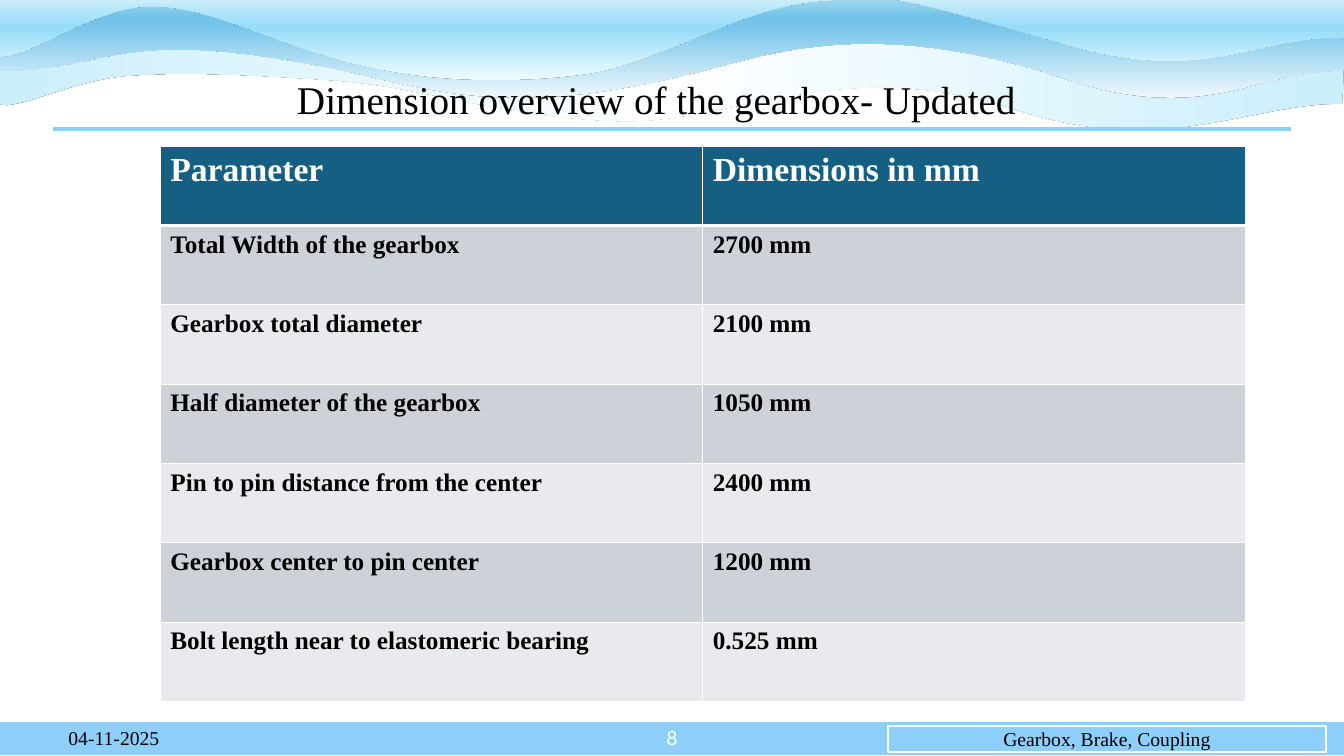
from pptx import Presentation, util as u
from pptx.dml.color import RGBColor
from pptx.enum import shapes, text
from pptx.oxml.ns import qn
from lxml import etree

THEME = {
    "sky": "8ECEFA", "white": "FFFFFF", "black": "000000", "head": "156082",
    "bands": ("CCD2D8", "E8EAED"), "serif": "Times New Roman", "sans": "Lato",
    "title": 28, "header": 24, "body": 18, "foot": 14,
}

TITLE = "Dimension overview of the gearbox- Updated"
DATE, PAGE, TOPIC = "04-11-2025", "8", "Gearbox, Brake, Coupling"
ROWS = [
    ("Parameter", "Dimensions in mm"),
    ("Total Width of the gearbox", "2700 mm"),
    ("Gearbox total diameter", "2100 mm"),
    ("Half diameter of the gearbox", "1050 mm"),
    ("Pin to pin distance from the center", "2400 mm"),
    ("Gearbox center to pin center", "1200 mm"),
    ("Bolt length near to elastomeric bearing", "0.525 mm"),
]

WAVES = [
    {"box": (-0.03, 0.3, 13.36, 0.98), "angle": 0,
     "stops": [(0, "CAEEFB"), (50, "FFFFFF"), (100, "CAEEFB")],
     "path": [(13.31, 1.03),
              (12.38, 1.02, 11.53, 1.59, 10, 1.06),
              (8.28, 0.54, 7.22, 1.24, 6.11, 1.2),
              (5, 1.16, 4.22, 0.87, 3.36, 0.8),
              (2.49, 0.74, 1.84, 0.71, 1.28, 0.75),
              (0.72, 0.79, 0.15, 1.11, -0.01, 1.03),
              (-0.01, 0.8, -0.03, 0.53, -0.03, 0.3),
              (3.14, 0.31), (6.53, 0.34), (9.42, 0.32), (13.33, 0.34),
              (13.33, 0.55, 13.33, 0.8, 13.31, 1.03)]},
    {"box": (0, -0.01, 13.33, 0.98), "angle": 90,
     "stops": [(0, "F0F8FD"), (74, "74C4E9"), (83, "74C4E9"), (100, "A2D8F0")],
     "path": [(13.32, 0.7),
              (12.39, 0.7, 11.96, 1.28, 10.44, 0.74),
              (8.71, 0.2, 7.73, 0.5, 7.06, 0.68),
              (5.28, 1.14, 4.59, 0.98, 3.46, 0.71),
              (1.13, 0.22, 1.15, 0.7, 0, 0.7),
              (0, 0.47, 0.01, 0.24, 0.01, 0),
              (3.13, 0.01), (6.54, -0.01), (9.46, 0), (13.33, 0.04),
              (13.33, 0.26, 13.34, 0.47, 13.32, 0.7)]},
    {"box": (-0.03, -0.26, 13.36, 1.06), "angle": 90,
     "stops": [(0, "EFFCFF"), (50, "96DCF8"), (100, "FFFFFF")],
     "path": [(13.32, 0.37),
              (12.39, 0.36, 11.96, 0.88, 10.44, 0.4),
              (8.72, -0.08, 8.91, -0.05, 8.13, 0.01),
              (7.35, 0.06, 6.53, 0.64, 5.76, 0.74),
              (4.98, 0.84, 4.24, 0.81, 3.47, 0.62),
              (2.58, 0.38, 2.07, 0.06, 1.5, 0.06),
              (0.92, 0.06, 0.22, 0.63, -0.03, 0.55),
              (-0.02, 0.34, 0.01, -0.04, 0.01, -0.25),
              (3.13, -0.24), (6.54, -0.26), (9.46, -0.25), (13.33, -0.22),
              (13.33, -0.03, 13.34, 0.16, 13.32, 0.37)]},
]


def rgb(code):
    return RGBColor.from_string(code)


def draw_path(shape, wave):
    left, top, width, height = wave["box"]
    path = shape._element.spPr.find(".//" + qn("a:path"))
    for old in list(path):
        path.remove(old)
    for i, part in enumerate(wave["path"]):
        kind = "moveTo" if i == 0 else "lnTo" if len(part) == 2 else "cubicBezTo"
        step = etree.SubElement(path, qn("a:" + kind))
        for x, y in zip(part[::2], part[1::2]):
            etree.SubElement(step, qn("a:pt"), x=str(u.Inches(left + width - x)),
                             y=str(u.Inches(top + height - y)))
    etree.SubElement(path, qn("a:close"))


def add_wave(slide, wave):
    left, top, width, height = map(u.Inches, wave["box"])
    right, low = left + width, top + height
    pen = slide.shapes.build_freeform(left, top)
    pen.add_line_segments([(right, top), (right, low), (left, low)], close=True)
    shape = pen.convert_to_shape()
    draw_path(shape, wave)
    shape.rotation = 180
    shape.line.fill.background()
    shape.fill.gradient()
    shape.fill.gradient_angle = -wave["angle"] % 360
    props = shape._element.spPr
    stops = props.find(".//" + qn("a:gsLst"))
    for old in list(stops):
        stops.remove(old)
    for pos, code in wave["stops"]:
        stop = etree.SubElement(stops, qn("a:gs"), pos=str(pos * 1000))
        etree.SubElement(stop, qn("a:srgbClr"), val=code)
    shape.shadow.inherit = False
    shade = etree.SubElement(props.find(qn("a:effectLst")), qn("a:outerShdw"),
                             blurRad="0", dist="0", dir="0")
    etree.SubElement(shade, qn("a:srgbClr"), val=THEME["black"])


def add_run(frame, words, size, color, font, align=None, bold=False):
    para = frame.paragraphs[0]
    para.alignment = align
    run = para.add_run()
    run.text = words
    run.font.size, run.font.name, run.font.bold = u.Pt(size), font, bold
    run.font.color.rgb = rgb(color)


def add_text(slide, box, words, size, color, font, align, lines=None):
    frame = slide.shapes.add_textbox(*map(u.Inches, box)).text_frame
    frame.word_wrap = True
    frame.vertical_anchor = text.MSO_ANCHOR.MIDDLE
    add_run(frame, words, size, color, font, align)
    frame.paragraphs[0].line_spacing = lines
    return frame


def add_bar(slide, box):
    bar = slide.shapes.add_shape(shapes.MSO_SHAPE.RECTANGLE, *map(u.Inches, box))
    bar.shadow.inherit = False
    bar.fill.solid()
    bar.fill.fore_color.rgb = rgb(THEME["sky"])
    bar.line.color.rgb = rgb(THEME["white"])
    bar.line.width = u.Pt(1.5)
    return bar


def add_rule(slide, left, right, top):
    rule = slide.shapes.add_connector(
        shapes.MSO_CONNECTOR.STRAIGHT, *map(u.Inches, (left, top, right, top)))
    rule.line.color.rgb = rgb(THEME["sky"])
    rule.line.width = u.Pt(3)
    etree.SubElement(rule._element.spPr, qn("a:effectLst"))


def add_edges(cell, header):
    props = cell._tc.get_or_add_tcPr()
    for side in "LRTB":
        wide = 3 if header and side == "B" else 1
        edge = etree.SubElement(props, qn("a:ln" + side), w=str(u.Pt(wide)))
        fill = etree.SubElement(edge, qn("a:solidFill"))
        etree.SubElement(fill, qn("a:srgbClr"), val=THEME["white"])


def add_grid(slide, box):
    grid = slide.shapes.add_table(len(ROWS), len(ROWS[0]), *map(u.Inches, box)).table
    grid.horz_banding = False
    for r, row in enumerate(ROWS):
        head = r == 0
        for c, words in enumerate(row):
            cell = grid.cell(r, c)
            add_edges(cell, head)
            cell.fill.solid()
            cell.fill.fore_color.rgb = rgb(THEME["head"] if head else THEME["bands"][(r - 1) % 2])
            add_run(cell.text_frame, words, THEME["header" if head else "body"],
                    THEME["white" if head else "black"], THEME["serif"], bold=True)


def main():
    deck = Presentation()
    deck.slide_width, deck.slide_height = u.Inches(13.33), u.Inches(7.5)
    slide = deck.slides.add_slide(deck.slide_layouts[6])
    mid, end = text.PP_ALIGN.CENTER, text.PP_ALIGN.RIGHT
    black, serif, foot = THEME["black"], THEME["serif"], THEME["foot"]

    for wave in WAVES:
        add_wave(slide, wave)
    add_bar(slide, (-0.01, 7.15, 13.35, 0.35))
    add_text(slide, (6.51, 7.12, 0.31, 0.4), PAGE, foot, THEME["white"], THEME["sans"], end)
    add_rule(slide, 0.53, 12.8, 1.28)
    topic = add_bar(slide, (8.81, 7.2, 4.34, 0.26)).text_frame
    topic.vertical_anchor = text.MSO_ANCHOR.MIDDLE
    add_run(topic, TOPIC, foot, black, serif, mid)
    add_text(slide, (-1.93, 7.13, 6.12, 0.4), DATE, foot, black, serif, mid, 0.9)
    title = add_text(slide, (0.76, 0.57, 11.5, 1.45), TITLE, THEME["title"],
                     black, serif, mid, 0.9)
    title.margin_bottom = u.Inches(0.62)
    add_grid(slide, (1.59, 1.45, 10.76, 5.51))
    deck.save("out.pptx")


if __name__ == "__main__":
    main()
